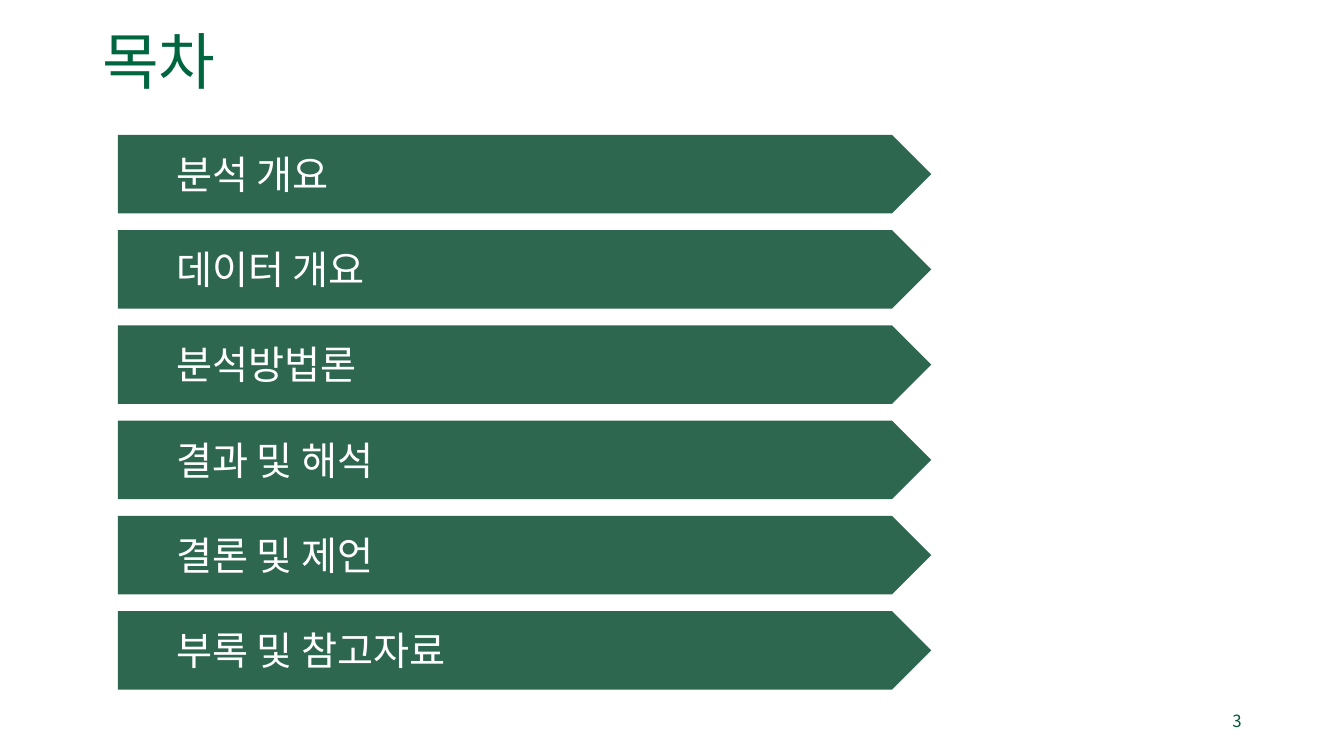
from lxml.etree import SubElement as SubEl
from pptx import Presentation
from pptx.dml.color import RGBColor
from pptx.enum.shapes import MSO_SHAPE as Shape
from pptx.enum.text import MSO_ANCHOR as Anchor, MSO_AUTO_SIZE as Fit, PP_ALIGN as Align
from pptx.oxml.ns import qn
from pptx.util import Cm, Pt

FONT = "Noto Sans CJK KR"
TITLE = RGBColor(0x00, 0x66, 0x40)
BAR = RGBColor(0x00, 0x46, 0x2A)
PAGE = RGBColor(0x00, 0x56, 0x37)
WHITE = RGBColor(0xFF, 0xFF, 0xFF)
TOPICS = ["분석 개요", "데이터 개요", "분석방법론",
          "결과 및 해석", "결론 및 제언", "부록 및 참고자료"]
TOP, STEP = 3.4, 2.4


def add_text(shapes, box, text, size, color, anchor=Anchor.MIDDLE,
             align=Align.LEFT, space=1.0, fit=Fit.NONE):
    frame = shapes.add_textbox(*map(Cm, box)).text_frame
    frame.word_wrap = True
    frame.auto_size = fit
    frame.vertical_anchor = anchor
    para = frame.paragraphs[0]
    para.alignment = align
    para.line_spacing = space
    run = para.add_run()
    run.text = text
    run.font.size = Pt(size)
    run.font.color.rgb = color
    run.font.name = FONT
    SubEl(run.font._element, qn("a:ea"), typeface=FONT)


def add_bar(shapes, top):
    bar = shapes.add_shape(Shape.PENTAGON, Cm(2.97), Cm(top), Cm(20.5), Cm(1.98))
    bar.adjustments[0] = 0.5
    bar.shadow.inherit = False
    bar.line.fill.background()
    bar.fill.solid()
    bar.fill.fore_color.rgb = BAR
    tint = bar._element.spPr.find(qn("a:solidFill"))[0]
    SubEl(tint, qn("a:alpha"), val="82000")


def add_topic(slide, top, text):
    shapes = slide.shapes.add_group_shape().shapes
    add_bar(shapes, top)
    add_text(shapes, (4.19, top + 0.26, 14.71, 1.45), text, 28, WHITE,
             anchor=Anchor.TOP, fit=Fit.SHAPE_TO_FIT_TEXT)


def main():
    deck = Presentation()
    deck.slide_width, deck.slide_height = Cm(33.87), Cm(19.05)
    slide = deck.slides.add_slide(deck.slide_layouts[6])
    add_text(slide.shapes, (2.33, 0.38, 29.21, 2.51), "목차", 44, TITLE, space=0.9)
    for row, text in enumerate(TOPICS):
        add_topic(slide, TOP + row * STEP, text)
    add_text(slide.shapes, (23.92, 17.65, 7.62, 1.01), "3", 12, PAGE, align=Align.RIGHT)
    deck.save("out.pptx")


if __name__ == "__main__":
    main()
